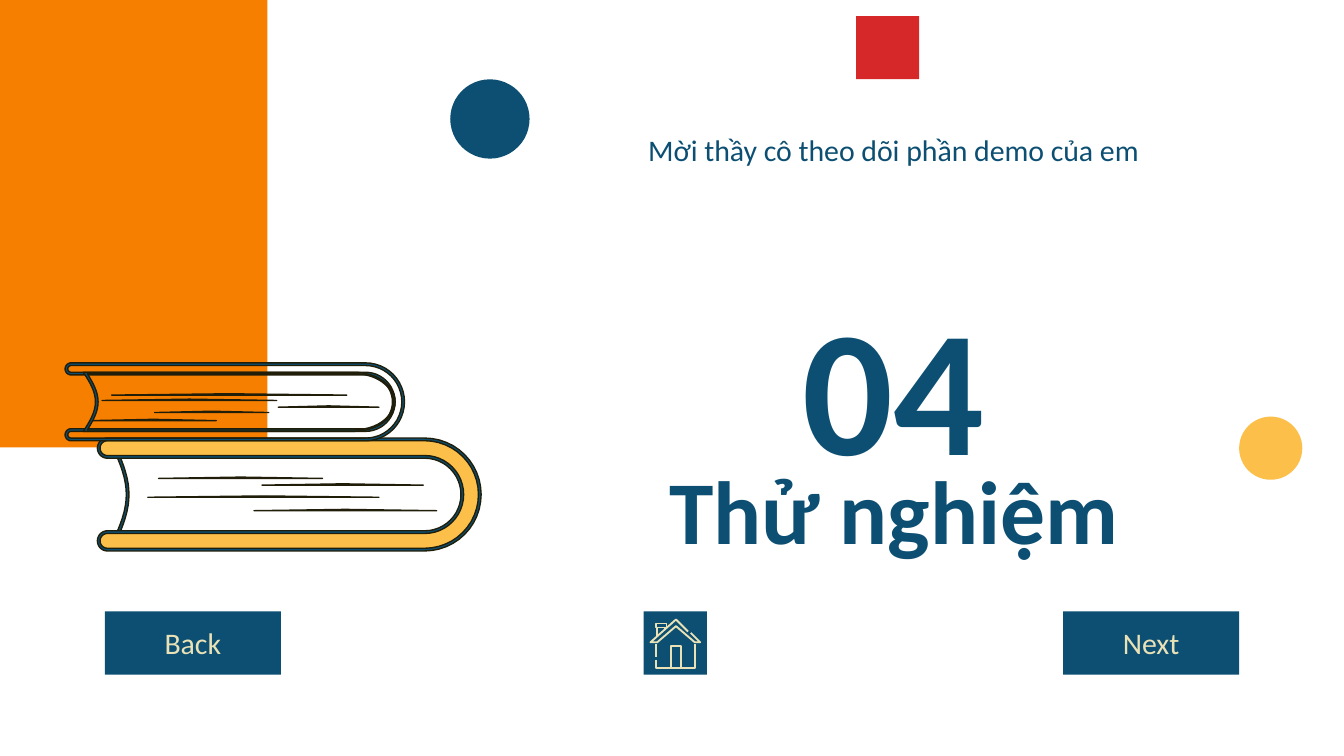
from math import cos, pi, radians, sin

from pptx import Presentation
from pptx.dml.color import RGBColor
from pptx.enum.shapes import MSO_SHAPE as Shape
from pptx.enum.text import MSO_ANCHOR as Anchor, PP_ALIGN as Align
from pptx.util import Inches, Pt

BLUE = RGBColor(0x0C, 0x4F, 0x72)
ORANGE = RGBColor(0xF7, 0x7F, 0x00)
YELLOW = RGBColor(0xFC, 0xBF, 0x49)
RED = RGBColor(0xD6, 0x28, 0x28)
CREAM = RGBColor(0xEA, 0xE2, 0xB7)
INK = RGBColor(0x20, 0x1D, 0x09)

TITLE = {"size": Pt(48), "bold": True, "name": "Calibri"}
NUMBER = {**TITLE, "size": Pt(96)}
BODY = {"size": Pt(16), "bold": False, "name": "Calibri"}

HEADINGS = [
    ("Thử nghiệm", 3.37, 0.83, TITLE, Anchor.MIDDLE),
    ("04", 2.25, 1.21, NUMBER, Anchor.MIDDLE),
    ("Mời thầy cô theo dõi phần demo của em", 0.88, 0.4, BODY, Anchor.TOP),
]

# Printed lines on the pages: left, right, y
LOWER_LINES = [(1.1, 2.82, 3.7), (1.95, 3.15, 3.61),
               (1.89, 3.25, 3.8), (1.18, 2.4, 3.56)]
UPPER_LINES = [(0.83, 2.58, 2.94), (0.76, 2.06, 2.98), (1.15, 2, 3.07),
               (0.67, 1.61, 3.13), (2.07, 2.82, 3.03)]

HOUSE_STROKES = [
    # roof
    [(5.12, 4.7), (5.03, 4.61), (4.84, 4.78), (4.89, 4.78),
     (5.03, 4.66), (5.17, 4.78), (5.21, 4.78), (5.14, 4.71)],
    # walls
    [(4.88, 4.79), (4.88, 4.89)],
    [(4.88, 4.91), (4.88, 4.97), (5.17, 4.97), (5.17, 4.79)],
    # door
    [(4.99, 4.97), (4.99, 4.81), (5.07, 4.81), (5.07, 4.97)],
    # chimney
    [(4.88, 4.64), (4.96, 4.64), (4.96, 4.67), (4.88, 4.67), (4.88, 4.64)],
    [(4.89, 4.67), (4.89, 4.73)],
    [(4.95, 4.67), (4.95, 4.69)],
]


def arc(x, y, radius_x, radius_y, start, end, steps=24):
    angles = [radians(start + (end - start) * i / steps) for i in range(steps + 1)]
    return [(x + radius_x * cos(a), y + radius_y * sin(a)) for a in angles]


def cover_contour(cap_x, x, y, outer, inner):
    """U-shaped book cover, open to the left, with rounded ends."""
    middle, cap = (outer + inner) / 2, (outer - inner) / 2
    return (arc(x, y, outer, outer, -90, 90)
            + arc(cap_x, y + middle, cap, cap, 90, 270)
            + arc(x, y, inner, inner, 90, -90)
            + arc(cap_x, y - middle, cap, cap, 90, 270))


def pages_contour(left, x, y, radius_x, radius_y, bulge, steps=16):
    """Page block with a curved spine on the left and a round right edge."""
    spine = [(left + bulge * sin(pi * i / steps), y + radius_y * (1 - 2 * i / steps))
             for i in range(steps + 1)]
    return arc(x, y, radius_x, radius_y, -90, 90) + spine


def add_freeform(slide, contours, fill=None, line=INK, width=0.75):
    """One freeform of several contours; without a fill they stay open."""
    builder = None
    for contour in contours:
        start, *rest = [(Inches(x), Inches(y)) for x, y in contour]
        if builder is None:
            builder = slide.shapes.build_freeform(*start, scale=1.0)
        else:
            builder.move_to(*start)
        builder.add_line_segments(rest, close=fill is not None)
    shape = builder.convert_to_shape()
    shape.shadow.inherit = False
    if fill is None:
        shape.fill.background()
    else:
        shape.fill.solid()
        shape.fill.fore_color.rgb = fill
    shape.line.color.rgb = line
    shape.line.width = Pt(width)


def add_printed_line(slide, left, right, y):
    middle = (left + right) / 2
    tapered = [(left, y), (middle, y - 0.01), (right, y), (middle, y)]
    add_freeform(slide, [tapered], BLUE)


def add_lower_book(slide):
    x, y = 3.16, 3.68
    add_freeform(slide, [pages_contour(0.84, x, y, 0.35, 0.35, 0.1),
                         pages_contour(0.87, x, y, 0.34, 0.34, 0.09)], BLUE)
    for line in LOWER_LINES:
        add_printed_line(slide, *line)
    add_freeform(slide, [cover_contour(0.8, x, y, 0.41, 0.28)], YELLOW)
    add_freeform(slide, [cover_contour(0.8, x, y, 0.42, 0.27),
                         cover_contour(0.8, x, y, 0.4, 0.29)], BLUE)


def add_upper_book(slide):
    y = 2.99
    add_freeform(slide, [cover_contour(0.53, 2.72, y, 0.29, 0.2),
                         cover_contour(0.53, 2.72, y, 0.27, 0.22)], BLUE)
    for line in UPPER_LINES:
        add_printed_line(slide, *line)
    add_freeform(slide, [pages_contour(0.62, 2.63, y, 0.31, 0.22, 0.09),
                         pages_contour(0.65, 2.63, y, 0.3, 0.21, 0.08)], BLUE)


def set_text(shape, text, font, color, anchor=Anchor.MIDDLE):
    frame = shape.text_frame
    margins = {f"margin_{side}": Inches(0.1)
               for side in ("left", "right", "top", "bottom")}
    frame_format = {"word_wrap": True, "vertical_anchor": anchor, **margins}
    for name, value in frame_format.items():
        setattr(frame, name, value)
    paragraph = frame.paragraphs[0]
    paragraph.alignment = Align.CENTER
    run = paragraph.add_run()
    run.text = text
    for name, value in font.items():
        setattr(run.font, name, value)
    run.font.color.rgb = color


def add_heading(slide, text, top, height, font, anchor):
    box = slide.shapes.add_textbox(Inches(4.53), Inches(top),
                                   Inches(4.24), Inches(height))
    set_text(box, text, font, BLUE, anchor)


def add_block(slide, kind, left, top, width, height, fill):
    shape = slide.shapes.add_shape(kind, Inches(left), Inches(top),
                                   Inches(width), Inches(height))
    shape.shadow.inherit = False
    shape.fill.solid()
    shape.fill.fore_color.rgb = fill
    shape.line.fill.background()
    return shape


def add_button(slide, text, left):
    button = add_block(slide, Shape.RECTANGLE, left, 4.55, 1.31, 0.47, BLUE)
    set_text(button, text, BODY, CREAM)


def add_home_button(slide):
    add_block(slide, Shape.RECTANGLE, 4.79, 4.55, 0.47, 0.47, BLUE)
    add_freeform(slide, HOUSE_STROKES, line=CREAM, width=1)


def main():
    presentation = Presentation()
    presentation.slide_width = Inches(10)
    presentation.slide_height = Inches(10 * 9 / 16)
    slide = presentation.slides.add_slide(presentation.slide_layouts[6])

    for heading in HEADINGS:
        add_heading(slide, *heading)
    add_block(slide, Shape.RECTANGLE, 0, 0, 1.99, 3.33, ORANGE)
    add_lower_book(slide)
    add_upper_book(slide)
    add_block(slide, Shape.RECTANGLE, 6.37, 0.12, 0.47, 0.47, RED)
    add_block(slide, Shape.OVAL, 3.35, 0.59, 0.59, 0.59, BLUE)
    add_block(slide, Shape.OVAL, 9.22, 3.1, 0.47, 0.47, YELLOW)
    add_button(slide, "Back", 0.78)
    add_home_button(slide)
    add_button(slide, "Next", 7.91)

    presentation.save("out.pptx")


if __name__ == "__main__":
    main()
